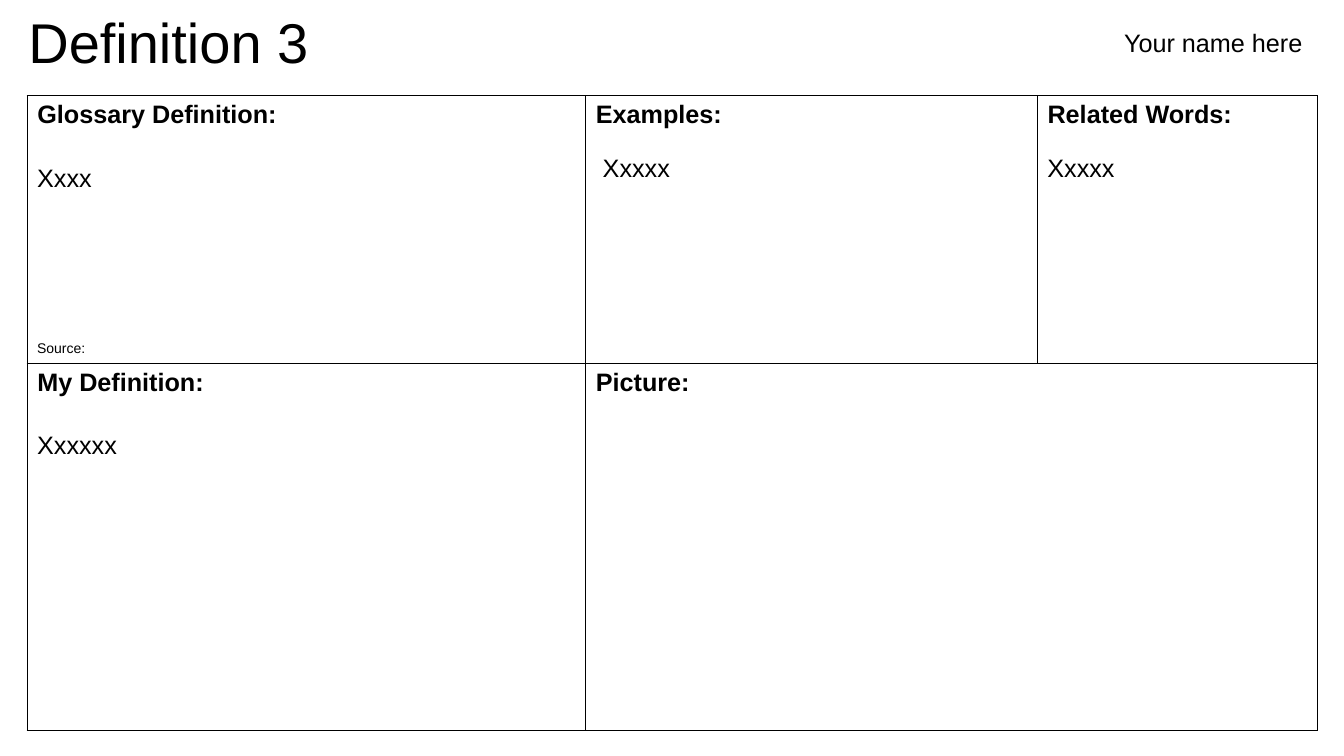
from itertools import accumulate

from lxml.etree import SubElement
from pptx import Presentation
from pptx.dml.color import RGBColor
from pptx.enum.text import MSO_ANCHOR as Anchor, MSO_AUTO_SIZE as AutoSize, PP_ALIGN as Align
from pptx.oxml.ns import qn
from pptx.util import Inches, Pt

COLORS = {"text": "000000", "border": "000000"}
FONT = "Arial"
LEFT, TOP = 0.27, 0.95
COLUMN_WIDTHS = [5.54, 4.48, 2.78]
ROW_HEIGHTS = [2.66, 3.64]
COLUMNS = list(accumulate(COLUMN_WIDTHS, initial=LEFT))
ROWS = list(accumulate(ROW_HEIGHTS, initial=TOP))
HEADINGS = [
    ["Glossary Definition:", "Examples:", "Related Words:"],
    ["My Definition:", "Picture:"],
]


def write_text(text_frame, text, size, bold=False, align=Align.LEFT):
    paragraph = text_frame.paragraphs[0]
    paragraph.alignment = align
    run = paragraph.add_run()
    run.text = text
    run.font.name = FONT
    run.font.size = Pt(size)
    run.font.bold = bold
    run.font.color.rgb = RGBColor.from_string(COLORS["text"])


def add_title(slide, text, left, top, width, height):
    title = slide.shapes.title
    title.left, title.top = Inches(left), Inches(top)
    title.width, title.height = Inches(width), Inches(height)
    text_frame = title.text_frame
    text_frame.word_wrap = True
    text_frame.auto_size = AutoSize.SHAPE_TO_FIT_TEXT
    text_frame.vertical_anchor = Anchor.TOP
    write_text(text_frame, text, 40, align=Align.CENTER)


def add_text(slide, text, left, top, width, height=0.4, size=18):
    box = slide.shapes.add_textbox(Inches(left), Inches(top), Inches(width), Inches(height))
    box.text_frame.word_wrap = True
    box.text_frame.auto_size = AutoSize.SHAPE_TO_FIT_TEXT
    write_text(box.text_frame, text, size)


def format_cell(cell):
    """Draw a thin border on all four sides and leave the cell unfilled."""
    properties = cell._tc.get_or_add_tcPr()
    for side in ("a:lnL", "a:lnR", "a:lnT", "a:lnB"):
        line = SubElement(properties, qn(side), w=str(Pt(1)))
        fill = SubElement(line, qn("a:solidFill"))
        SubElement(fill, qn("a:srgbClr"), val=COLORS["border"])
    cell.fill.background()


def add_definition_table(slide):
    table = slide.shapes.add_table(
        len(ROW_HEIGHTS), len(COLUMN_WIDTHS), Inches(LEFT), Inches(TOP),
        Inches(sum(COLUMN_WIDTHS)), Inches(sum(ROW_HEIGHTS)),
    ).table
    table.first_row = table.horz_banding = False
    for column, width in zip(table.columns, COLUMN_WIDTHS):
        column.width = Inches(width)
    for row, height in zip(table.rows, ROW_HEIGHTS):
        row.height = Inches(height)
    for cell in table.iter_cells():
        format_cell(cell)
    table.cell(1, 1).merge(table.cell(1, 2))
    for row, headings in enumerate(HEADINGS):
        for column, heading in enumerate(headings):
            write_text(table.cell(row, column).text_frame, heading, 18, bold=True)


def main():
    presentation = Presentation()
    presentation.slide_width = Inches(13.33)
    presentation.slide_height = Inches(7.5)
    slide = presentation.slides.add_slide(presentation.slide_layouts[5])

    add_definition_table(slide)
    add_title(slide, "Definition 3", -0.46, 0.02, 4.26, 0.77)
    add_text(slide, "Your name here", 11.05, 0.22, 2.1)
    add_text(slide, "Xxxx", COLUMNS[0], ROWS[0] + 0.61, 5.14)
    add_text(slide, "Source:", COLUMNS[0], ROWS[1] - 0.29, 2.81, 0.27, 10)
    add_text(slide, "Xxxxx", COLUMNS[1] + 0.07, ROWS[0] + 0.51, 4.27)
    add_text(slide, "Xxxxx", COLUMNS[2], ROWS[0] + 0.51, 2.57)
    add_text(slide, "Xxxxxx", COLUMNS[0], ROWS[1] + 0.6, 5.14)

    presentation.save("out.pptx")


if __name__ == "__main__":
    main()
